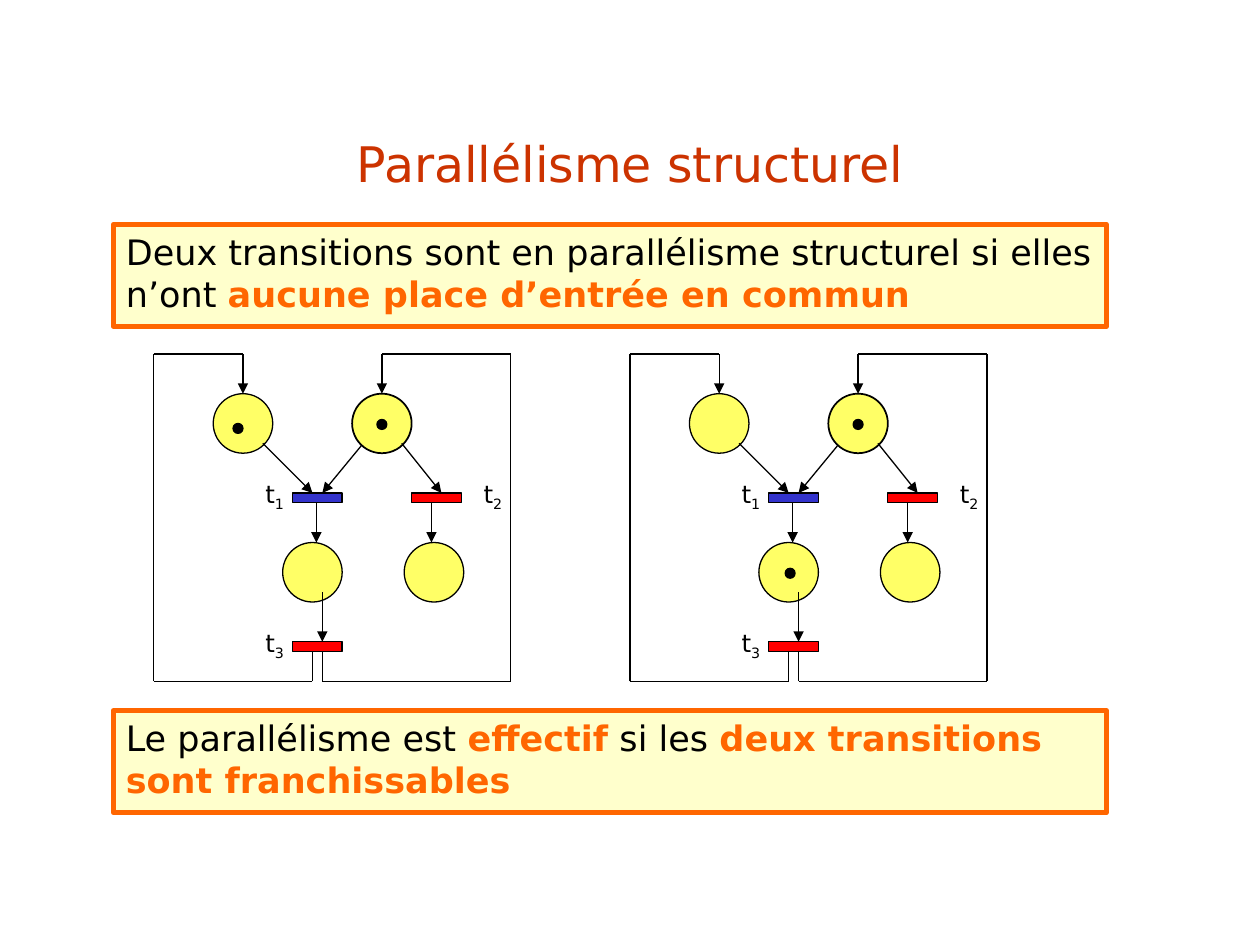
from dataclasses import dataclass
from itertools import pairwise

from lxml import etree
from pptx import Presentation
from pptx.dml.color import RGBColor
from pptx.enum.shapes import MSO_CONNECTOR, MSO_SHAPE
from pptx.enum.text import MSO_ANCHOR, PP_ALIGN
from pptx.oxml.ns import qn
from pptx.util import Inches, Pt

CIRCLE, RECTANGLE = MSO_SHAPE.OVAL, MSO_SHAPE.RECTANGLE
STRAIGHT = MSO_CONNECTOR.STRAIGHT
TOP, MIDDLE = MSO_ANCHOR.TOP, MSO_ANCHOR.MIDDLE
LEFT, CENTER = PP_ALIGN.LEFT, PP_ALIGN.CENTER

FONT = "DejaVu Sans"
BLACK, ORANGE, BRICK = "000000", "FF6600", "CC3300"
CREAM, YELLOW, RED, BLUE = "FFFFCC", "FFFF66", "FF0000", "3333CC"

GRID = 0.2 / 2.54  # one grid step, in inches
NET_TOP = 2.81
PLACE_SIZE, TOKEN_SIZE = 6, 1
BAR_WIDTH, BAR_HEIGHT = 5, 1
LABEL_WIDTH, LABEL_HEIGHT = 5, 4.2


@dataclass(frozen=True)
class Place:
    column: float
    row: float
    outline: float = 0.75


@dataclass(frozen=True)
class Transition:
    number: str
    column: float
    row: float
    label_column: float
    color: str = RED


@dataclass(frozen=True)
class Arc:
    points: tuple[tuple[float, float], ...]


@dataclass(frozen=True)
class Net:
    left: float
    tokens: tuple[tuple[float, float], ...]


@dataclass(frozen=True)
class Piece:
    """A stretch of text with one look."""
    text: str
    color: str = BLACK
    bold: bool = False
    baseline: int = 0


@dataclass(frozen=True)
class Statement:
    top: float
    pieces: tuple[Piece, ...]


PLACES = (Place(6, 4), Place(20, 4, outline=1), Place(13, 19), Place(25.25, 19))
TRANSITIONS = (
    Transition("1", 14, 14, 10, BLUE),
    Transition("2", 26, 14, 32),
    Transition("3", 14, 29, 10),
)
ARCS = (
    Arc(((11, 9), (16, 14))),
    Arc(((21, 9.15), (17, 14))),
    Arc(((25, 9), (29, 14))),
    Arc(((16.4, 15), (16.4, 19))),
    Arc(((28, 15), (28, 19))),
    Arc(((17, 24), (17, 29))),
    Arc(((16, 30), (16, 33), (0, 33), (0, 0), (9, 0), (9, 4))),
    Arc(((17, 30), (17, 33), (36, 33), (36, 0), (23, 0), (23, 4))),
)
SHARED_TOKEN = (22.5, 6.6)
NETS = (
    Net(1.22, (SHARED_TOKEN, (8, 7))),
    Net(1.22 + 48 * GRID, (SHARED_TOKEN, (15.65, 21.6))),
)
STATEMENTS = (
    Statement(1.78, (
        Piece("Deux transitions sont en parallélisme structurel si elles n’ont "),
        Piece("aucune place d’entrée en commun", ORANGE, True),
    )),
    Statement(5.64, (
        Piece("Le parallélisme est "),
        Piece("effectif", ORANGE, True),
        Piece(" si les "),
        Piece("deux transitions sont franchissables", ORANGE, True),
    )),
)


def rgb(color: str) -> RGBColor:
    return RGBColor.from_string(color)


def write(shape, pieces, *, size: float, align=LEFT, anchor=TOP) -> None:
    frame = shape.text_frame
    frame.word_wrap = True
    frame.vertical_anchor = anchor
    paragraph = frame.paragraphs[0]
    paragraph.alignment = align
    for piece in pieces:
        run = paragraph.add_run()
        run.text = piece.text
        run.font.name = FONT
        run.font.size = Pt(size)
        run.font.bold = piece.bold
        run.font.color.rgb = rgb(piece.color)
        if piece.baseline:
            run.font._element.set("baseline", str(piece.baseline * 1000))


def add_filled(slide, kind, box, fill: str, line: str = BLACK, weight: float = 0.75):
    shape = slide.shapes.add_shape(kind, *map(Inches, box))
    shape.shadow.inherit = False
    shape.fill.solid()
    shape.fill.fore_color.rgb = rgb(fill)
    shape.line.color.rgb = rgb(line)
    shape.line.width = Pt(weight)
    return shape


def on_grid(net: Net, column: float, row: float) -> tuple[float, float]:
    return net.left + column * GRID, NET_TOP + row * GRID


def grid_box(net: Net, column: float, row: float, width: float, height: float):
    return *on_grid(net, column, row), width * GRID, height * GRID


def add_arc(slide, net: Net, arc: Arc) -> None:
    """Joins the points with straight lines; the last one has the arrowhead."""
    for start, end in pairwise(arc.points):
        ends = on_grid(net, *start) + on_grid(net, *end)
        connector = slide.shapes.add_connector(STRAIGHT, *map(Inches, ends))
        connector.line.color.rgb = rgb(BLACK)
        connector.line.width = Pt(0.75)
        properties = connector._element.spPr
        etree.SubElement(properties, qn("a:effectLst"))
    etree.SubElement(properties.find(qn("a:ln")), qn("a:tailEnd"), type="triangle")


def add_net(slide, net: Net) -> None:
    for place in PLACES:
        box = grid_box(net, place.column, place.row, PLACE_SIZE, PLACE_SIZE)
        add_filled(slide, CIRCLE, box, YELLOW, weight=place.outline)
    for transition in TRANSITIONS:
        column, row = transition.column, transition.row
        bar = grid_box(net, column, row, BAR_WIDTH, BAR_HEIGHT)
        add_filled(slide, RECTANGLE, bar, transition.color)
        box = grid_box(net, transition.label_column, row - 2, LABEL_WIDTH, LABEL_HEIGHT)
        label = slide.shapes.add_textbox(*map(Inches, box))
        write(label, (Piece("t"), Piece(transition.number, baseline=-25)), size=14)
    for arc in ARCS:
        add_arc(slide, net, arc)
    for token in net.tokens:
        add_filled(slide, CIRCLE, grid_box(net, *token, TOKEN_SIZE, TOKEN_SIZE), BLACK)


def main() -> None:
    presentation = Presentation()
    presentation.slide_width, presentation.slide_height = Inches(10), Inches(7.5)
    slide = presentation.slides.add_slide(presentation.slide_layouts[5])

    title = slide.shapes.title
    title.left, title.top, title.width, title.height = map(Inches, (0.75, 0.67, 8.5, 1.25))
    write(title, (Piece("Parallélisme structurel", BRICK),), size=28, align=CENTER, anchor=MIDDLE)

    for statement in STATEMENTS:
        box = (0.9, statement.top, 7.88, 0.81)
        panel = add_filled(slide, RECTANGLE, box, CREAM, line=ORANGE, weight=3)
        write(panel, statement.pieces, size=20)
    for net in NETS:
        add_net(slide, net)

    presentation.save("out.pptx")


if __name__ == "__main__":
    main()
